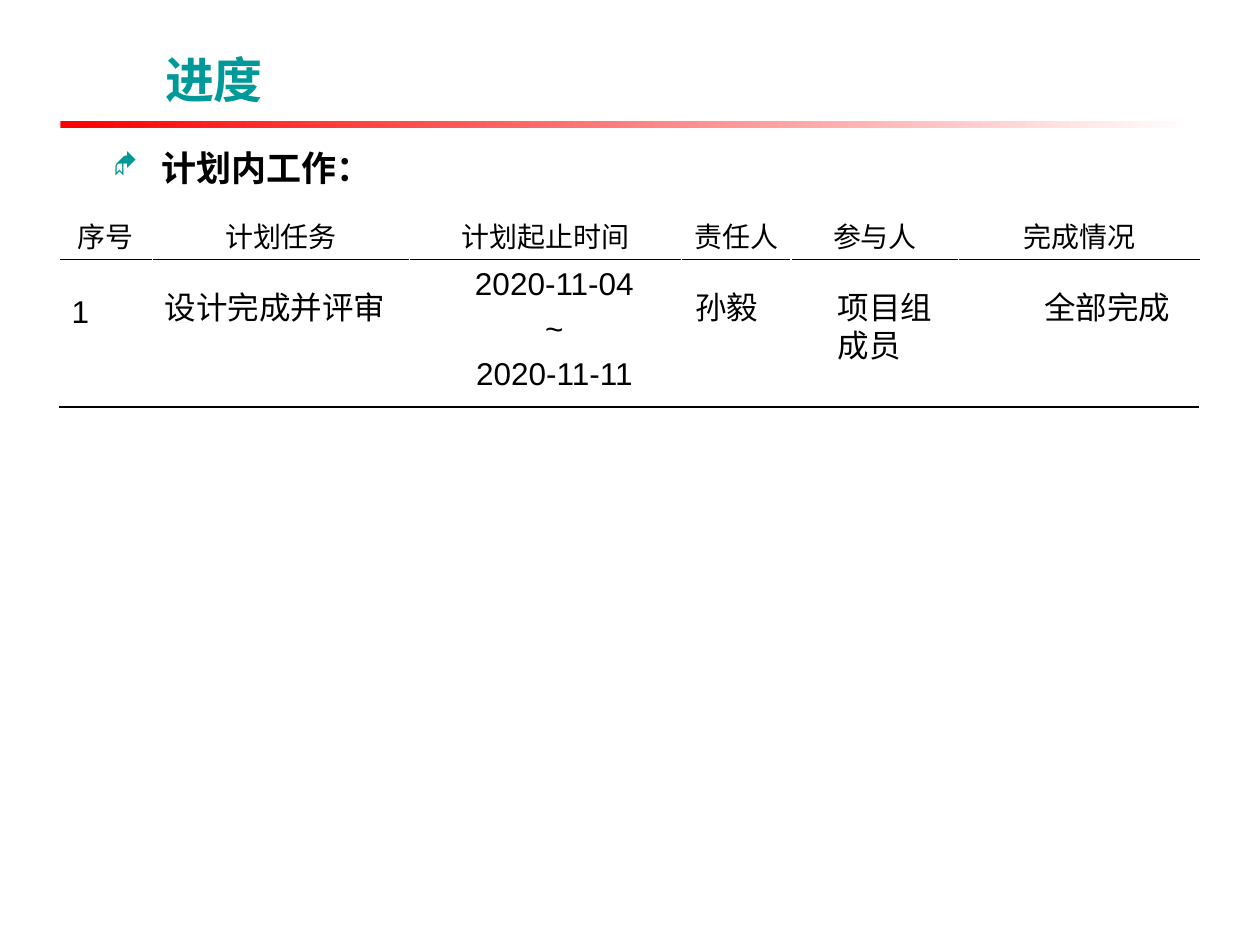
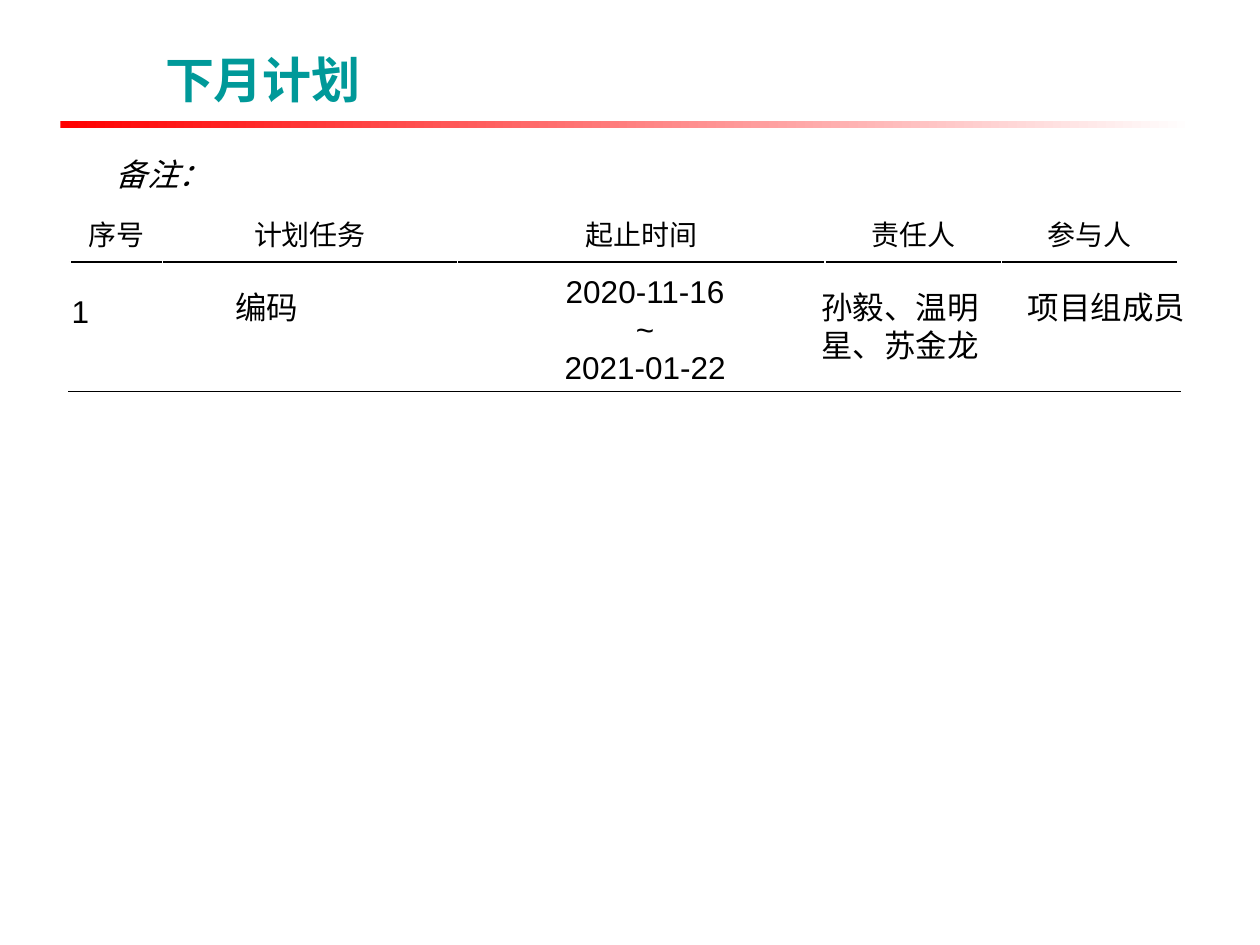
from dataclasses import dataclass
from typing import NamedTuple

from lxml.etree import SubElement
from pptx import Presentation
from pptx.dml.color import RGBColor
from pptx.enum.shapes import MSO_CONNECTOR, MSO_SHAPE
from pptx.enum.text import MSO_ANCHOR, MSO_AUTO_SIZE, PP_ALIGN
from pptx.oxml.ns import qn
from pptx.util import Inches, Pt

TEAL, RED, WHITE, BLACK = "009999", "FF0000", "FFFFFF", "000000"
LATIN, HAN = "Arial", "Noto Sans CJK SC"
LEFT, MID = PP_ALIGN.LEFT, PP_ALIGN.CENTER

TITLE = {"size": Pt(28), "bold": True, "name": LATIN}
LEAD = {"size": Pt(20), "bold": True, "name": LATIN}
NOTE = {"size": Pt(18), "italic": True, "name": LATIN}
BODY = {"size": Pt(18), "name": LATIN}
TASK = {"size": Pt(18), "name": HAN}
HEAD = {"size": Pt(16), "name": HAN}


class Box(NamedTuple):
    """Left, top, width and height in inches."""
    x: float
    y: float
    w: float
    h: float


@dataclass
class Note:
    """A text box with one paragraph per line."""
    box: Box
    lines: list[str]
    form: dict
    align: PP_ALIGN = LEFT
    gap: float = 0
    wrap: bool = True


@dataclass
class Header:
    """A row of column heads above a rule."""
    box: Box
    cols: list[float]
    heads: list[str]


@dataclass
class Rule:
    """A level line that closes the list."""
    x: float
    end: float
    y: float


@dataclass
class Page:
    """All that one slide shows."""
    title: str
    lead: Note
    bullet: bool
    header: Header
    notes: list[Note]
    rule: Rule


def tint(code: str) -> RGBColor:
    """Turn a hex string into a colour."""
    return RGBColor.from_string(code)


def place(box: Box) -> list[int]:
    """Give the box as lengths."""
    return [Inches(side) for side in box]


def write(para, text: str, form: dict, color: str = BLACK) -> None:
    """Put one formatted run into a paragraph."""
    run = para.add_run()
    run.text = text
    for key, value in form.items():
        setattr(run.font, key, value)
    run.font.color.rgb = tint(color)
    SubElement(run.font._element, qn("a:ea"), typeface=HAN)


def add_title(slide, text: str) -> None:
    """Move and fill the title placeholder."""
    shape = slide.shapes.title
    sides = zip(("left", "top", "width", "height"), place(Box(1.21, 0.28, 8.35, 0.63)))
    for key, value in sides:
        setattr(shape, key, value)
    frame = shape.text_frame
    frame.vertical_anchor = MSO_ANCHOR.BOTTOM
    para = frame.paragraphs[0]
    para.alignment = LEFT
    write(para, text, TITLE, TEAL)


def add_band(slide) -> None:
    """Draw the fading band under the title."""
    band = slide.shapes.add_shape(MSO_SHAPE.RECTANGLE, *place(Box(0.48, 0.96, 9, 0.06)))
    band.shadow.inherit = False
    band.line.fill.background()
    band.fill.gradient()
    band.fill.gradient_angle = 0
    for stop, code in zip(band.fill.gradient_stops, (RED, WHITE)):
        stop.color.rgb = tint(code)


def add_note(slide, note: Note):
    """Draw a text box and return its first paragraph."""
    frame = slide.shapes.add_textbox(*place(note.box)).text_frame
    frame.word_wrap = note.wrap
    frame.auto_size = MSO_AUTO_SIZE.SHAPE_TO_FIT_TEXT
    for num, line in enumerate(note.lines):
        para = frame.add_paragraph() if num else frame.paragraphs[0]
        para.alignment = note.align
        para.space_before = Pt(note.gap)
        write(para, line, note.form)
    return frame.paragraphs[0]


def add_mark(para) -> None:
    """Give a paragraph a teal diamond bullet."""
    props = para._p.get_or_add_pPr()
    props.set("marL", str(Inches(0.38)))
    props.set("indent", str(-Inches(0.38)))
    color = SubElement(props, qn("a:buClr"))
    SubElement(color, qn("a:srgbClr"), val=TEAL)
    SubElement(props, qn("a:buSzPct"), val="80000")
    SubElement(props, qn("a:buFont"), typeface="Wingdings")
    SubElement(props, qn("a:buChar"), char="◆")


def add_edge(cell) -> None:
    """Draw the lower border of a cell, before its fill."""
    props = cell._tc.get_or_add_tcPr()
    edge = SubElement(props, qn("a:lnB"), w=str(Pt(1)))
    fill = SubElement(edge, qn("a:solidFill"))
    SubElement(fill, qn("a:srgbClr"), val=BLACK)


def add_header(slide, header: Header) -> None:
    """Draw the column heads as a one-row table."""
    table = slide.shapes.add_table(1, len(header.cols), *place(header.box)).table
    table.first_row = table.horz_banding = False
    for col, width in enumerate(header.cols):
        table.columns[col].width = Inches(width)
        cell = table.cell(0, col)
        add_edge(cell)
        cell.fill.background()
        para = cell.text_frame.paragraphs[0]
        para.alignment = MID
        write(para, header.heads[col], HEAD)


def add_rule(slide, rule: Rule) -> None:
    """Draw the closing line."""
    start, end, top = (Inches(n) for n in (rule.x, rule.end, rule.y))
    line = slide.shapes.add_connector(MSO_CONNECTOR.STRAIGHT, start, top, end, top)
    line.line.width = Pt(0.75)
    line.line.color.rgb = tint(BLACK)
    SubElement(line._element.spPr, qn("a:effectLst"))


def add_page(deck, page: Page) -> None:
    """Build one slide."""
    slide = deck.slides.add_slide(deck.slide_layouts.get_by_name("Title Only"))
    add_band(slide)
    add_title(slide, page.title)
    para = add_note(slide, page.lead)
    if page.bullet:
        add_mark(para)
    add_header(slide, page.header)
    for note in page.notes:
        add_note(slide, note)
    add_rule(slide, page.rule)


ROW = 2.24
INDEX = Note(Box(0.47, 2.27, 0.66, 0.4), ["1"], BODY)

PAGES = [
    Page(
        "进度",
        Note(Box(0.8, 1.11, 8.78, 0.43), ["计划内工作："], LEAD, gap=4),
        True,
        Header(Box(0.47, 1.66, 9.06, 0.4), [0.74, 2.04, 2.16, 0.87, 1.33, 1.92],
               ["序号", "计划任务", "计划起止时间", "责任人", "参与人", "完成情况"]),
        [
            INDEX,
            Note(Box(1.21, ROW, 2, 0.4), ["设计完成并评审"], TASK),
            Note(Box(3.35, 2.05, 2.1, 1.13), ["2020-11-04", "~", "2020-11-11"],
                 BODY, MID, gap=4),
            Note(Box(5.42, ROW, 0.95, 0.4), ["孙毅"], BODY),
            Note(Box(6.55, ROW, 0.95, 0.71), ["项目组成员"], BODY),
            Note(Box(8.19, ROW, 1.21, 0.4), ["全部完成"], BODY),
        ],
        Rule(0.47, 9.52, 3.23),
    ),
    Page(
        "下月计划",
        Note(Box(0.82, 1.18, 0.95, 0.4), ["备注："], NOTE, wrap=False),
        False,
        Header(Box(0.56, 1.64, 8.79, 0.44), [0.73, 2.34, 2.92, 1.4, 1.4],
               ["序号", "计划任务", "起止时间", "责任人", "参与人"]),
        [
            INDEX,
            Note(Box(1.77, ROW, 1.44, 0.4), ["编码"], TASK),
            Note(Box(4, 2.11, 2.24, 1.01), ["2020-11-16", "~", "2021-01-22"], BODY, MID),
            Note(Box(6.42, ROW, 1.6, 0.71), ["孙毅、温明星、苏金龙"], BODY),
            Note(Box(8.06, ROW, 1.46, 0.4), ["项目组成员"], BODY),
        ],
        Rule(0.54, 9.37, 3.11),
    ),
]

deck = Presentation()
deck.slide_width, deck.slide_height = Inches(10), Inches(7.5)
for page in PAGES:
    add_page(deck, page)
deck.save("out.pptx")
